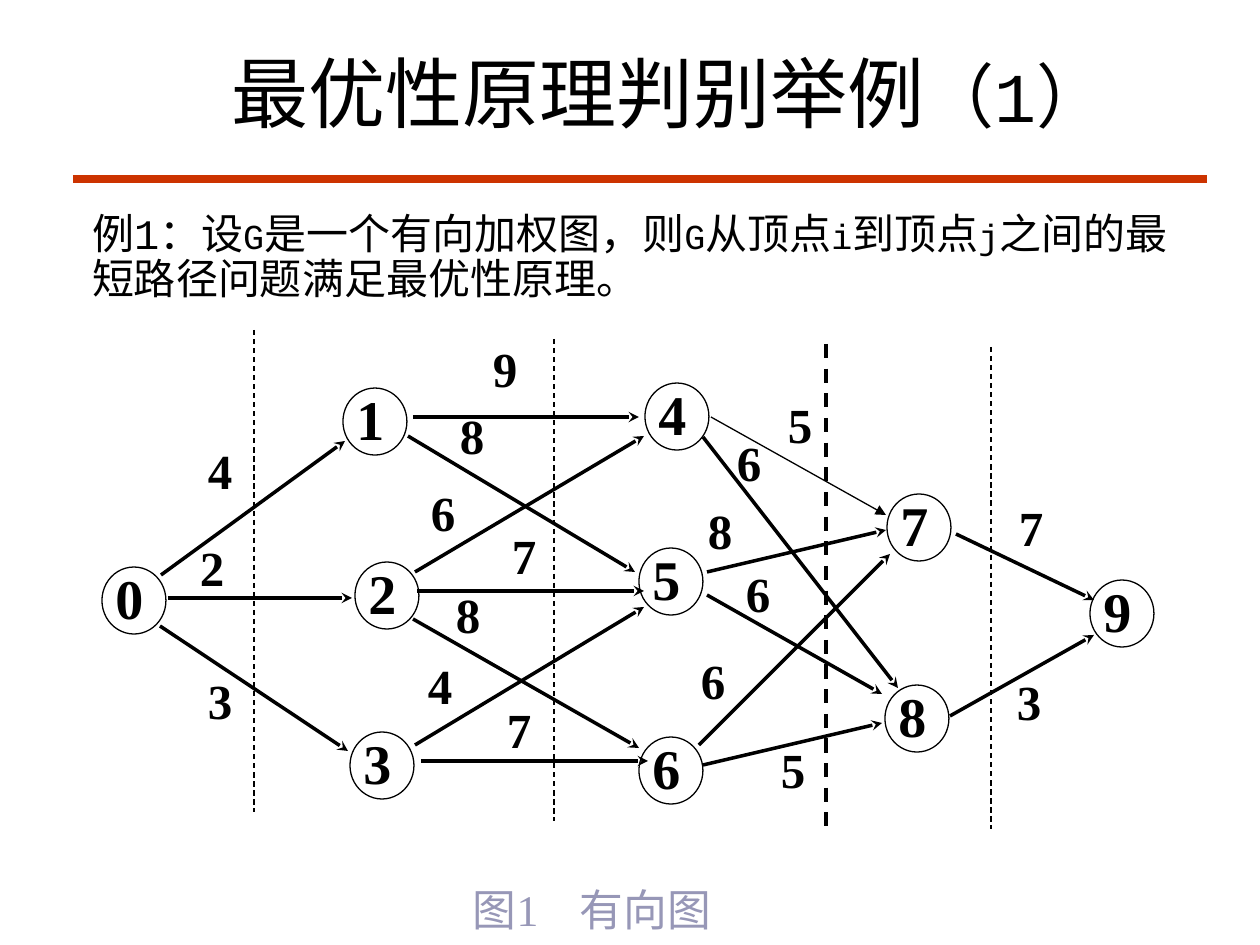
from lxml.etree import SubElement
from pptx import Presentation
from pptx.dml.color import RGBColor
from pptx.enum.dml import MSO_LINE
from pptx.enum.shapes import MSO_CONNECTOR, MSO_SHAPE
from pptx.enum.text import MSO_ANCHOR, MSO_AUTO_SIZE, PP_ALIGN
from pptx.oxml.ns import qn
from pptx.util import Emu, Pt

BLACK = RGBColor(0x00, 0x00, 0x00)
RED = RGBColor(0xCC, 0x33, 0x00)
LAVENDER = RGBColor(0x97, 0x97, 0xB7)
HEADING_FONT, GRAPH_FONT = "Courier New", "Times New Roman"

TITLE = [("最优性原理判别举例", 44), ("（1）", 40), (" ", 44)]
BODY = [("例1：设", 24), ("G", 20), ("是一个有向加权图，则", 24), ("G", 20),
        ("从顶点", 24), ("i", 20), ("到顶点", 24), ("j", 20),
        ("之间的最短路径问题满足最优性原理。", 24)]
CAPTION = [("图1\t有向图", 25)]
CAPTION_TAB = 107

NODES = [("0", 102, 567), ("1", 343, 388), ("2", 355, 562), ("3", 350, 732),
         ("4", 645, 383), ("5", 639, 548), ("6", 639, 737),
         ("7", 887, 494), ("8", 885, 685), ("9", 1090, 580)]
NODE_SIZE = (64, 67)

STRONG = {"width": 2, "head": "stealth"}
THIN = {"width": 0.75, "head": "triangle"}
EDGES = [
    ((161, 575, 345, 441), "4", (208, 457), STRONG),
    ((168, 598, 352, 598), "2", (200, 554), STRONG),
    ((160, 626, 348, 751), "3", (208, 687), STRONG),
    ((413, 417, 639, 417), "9", (493, 355), STRONG),
    ((408, 436, 635, 572), "8", (460, 422), STRONG),
    ((415, 572, 644, 436), "6", (431, 499), STRONG),
    ((417, 591, 644, 591), "7", (512, 542), STRONG),
    ((413, 619, 639, 748), "8", (456, 601), STRONG),
    ((415, 745, 644, 607), "4", (428, 672), STRONG),
    ((421, 761, 648, 761), "7", (507, 716), STRONG),
    ((711, 417, 886, 515), "5", (788, 411), THIN),
    ((703, 437, 898, 688), "6", (737, 449), STRONG),
    ((707, 572, 886, 530), "8", (708, 517), STRONG),
    ((707, 595, 882, 694), "6", (746, 580), STRONG),
    ((699, 745, 890, 554), "6", (701, 667), STRONG),
    ((703, 765, 882, 723), "5", (781, 756), STRONG),
    ((956, 534, 1094, 600), "7", (1019, 514), STRONG),
    ((950, 716, 1094, 635), "3", (1017, 688), STRONG),
]
WEIGHT_SIZE = (35, 44)
DIVIDERS = [(254, 330, 0.75), (554, 339, 0.75), (826, 344, 2), (991, 347, 0.75)]
DIVIDER_HEIGHT = 482

NODE_TEXT = {"line_spacing": 0.8, "space_before": Pt(8)}
WEIGHT_TEXT = {"line_spacing": 0.7, "space_before": Pt(7)}
CAPTION_TEXT = {"line_spacing": 0.8, "space_before": Pt(6.2)}
TITLE_TEXT = {"alignment": PP_ALIGN.CENTER, "space_before": Pt(0)}
BODY_TEXT = {"line_spacing": 0.9, "space_before": Pt(6),
             "alignment": PP_ALIGN.LEFT}


def px(length):
    return Emu(round(length * 914400 / 126))


def place(shape, *box):
    for side, length in zip(("left", "top", "width", "height"), box):
        setattr(shape, side, px(length))


def write(shape, runs, paragraph_format, font, color=BLACK, bold=False,
          margins=(0, 0, 0, 0), anchor=MSO_ANCHOR.TOP):
    frame = shape.text_frame
    frame.word_wrap = True
    frame.auto_size = MSO_AUTO_SIZE.NONE
    frame.vertical_anchor = anchor
    for side, margin in zip(("left", "top", "right", "bottom"), margins):
        setattr(frame, f"margin_{side}", px(margin))
    paragraph = frame.paragraphs[0]
    for key, value in {"alignment": PP_ALIGN.LEFT, **paragraph_format}.items():
        setattr(paragraph, key, value)
    for words, size in runs:
        run = paragraph.add_run()
        run.text = words
        for key, value in {"name": font, "size": Pt(size), "bold": bold}.items():
            setattr(run.font, key, value)
        run.font.color.rgb = color
    return paragraph


def draw_line(slide, ends, width, color=BLACK, head=None, dash=None):
    line = slide.shapes.add_connector(MSO_CONNECTOR.STRAIGHT, *map(px, ends))
    line.line.width = Pt(width)
    line.line.color.rgb = color
    if dash:
        line.line.dash_style = dash
    if head:
        SubElement(line.line._get_or_add_ln(), qn("a:tailEnd"), type=head)
    SubElement(line._element.spPr, qn("a:effectLst"))


def add_text(slide, left, top, width, height, *args, **kwargs):
    box = slide.shapes.add_textbox(*map(px, (left, top, width, height)))
    return write(box, *args, **kwargs)


def add_node(slide, label, left, top):
    node = slide.shapes.add_shape(MSO_SHAPE.OVAL, *map(px, (left, top, *NODE_SIZE)))
    node.shadow.inherit = False
    node.fill.background()
    node.line.color.rgb = BLACK
    node.line.width = Pt(0.75)
    write(node, [(label, 32)], NODE_TEXT, GRAPH_FONT, bold=True,
          margins=(4, 0, 0, 0))


def main():
    deck = Presentation()
    deck.slide_width, deck.slide_height = px(1260), px(945)
    slide = deck.slides.add_slide(deck.slide_layouts[1])
    title, body = slide.placeholders

    place(title, 137, 39, 1081, 105)
    write(title, TITLE, TITLE_TEXT, HEADING_FONT, margins=(13, 6, 13, 6),
          anchor=MSO_ANCHOR.MIDDLE)
    draw_line(slide, (73, 179, 1207, 179), 4.5, RED)

    place(body, 79, 207, 1131, 103)
    statement = write(body, BODY, BODY_TEXT, HEADING_FONT, margins=(13, 6, 13, 6))
    bullet_format = statement._p.get_or_add_pPr()
    for key in ("marL", "indent"):
        bullet_format.set(key, "0")
    SubElement(bullet_format, qn("a:buNone"))

    for label, left, top in NODES:
        add_node(slide, label, left, top)
    for ends, weight, corner, style in EDGES:
        draw_line(slide, ends, **style)
        add_text(slide, *corner, *WEIGHT_SIZE, [(weight, 28)], WEIGHT_TEXT,
                 GRAPH_FONT, bold=True)
    for x, top, width in DIVIDERS:
        draw_line(slide, (x, top, x, top + DIVIDER_HEIGHT), width,
                  dash=MSO_LINE.DASH)

    caption = add_text(slide, 473, 893, 407, 52, CAPTION, CAPTION_TEXT,
                       GRAPH_FONT, LAVENDER)
    stops = SubElement(caption._p.get_or_add_pPr(), qn("a:tabLst"))
    SubElement(stops, qn("a:tab"), pos=str(px(CAPTION_TAB)), algn="l")
    deck.save("out.pptx")


if __name__ == "__main__":
    main()
